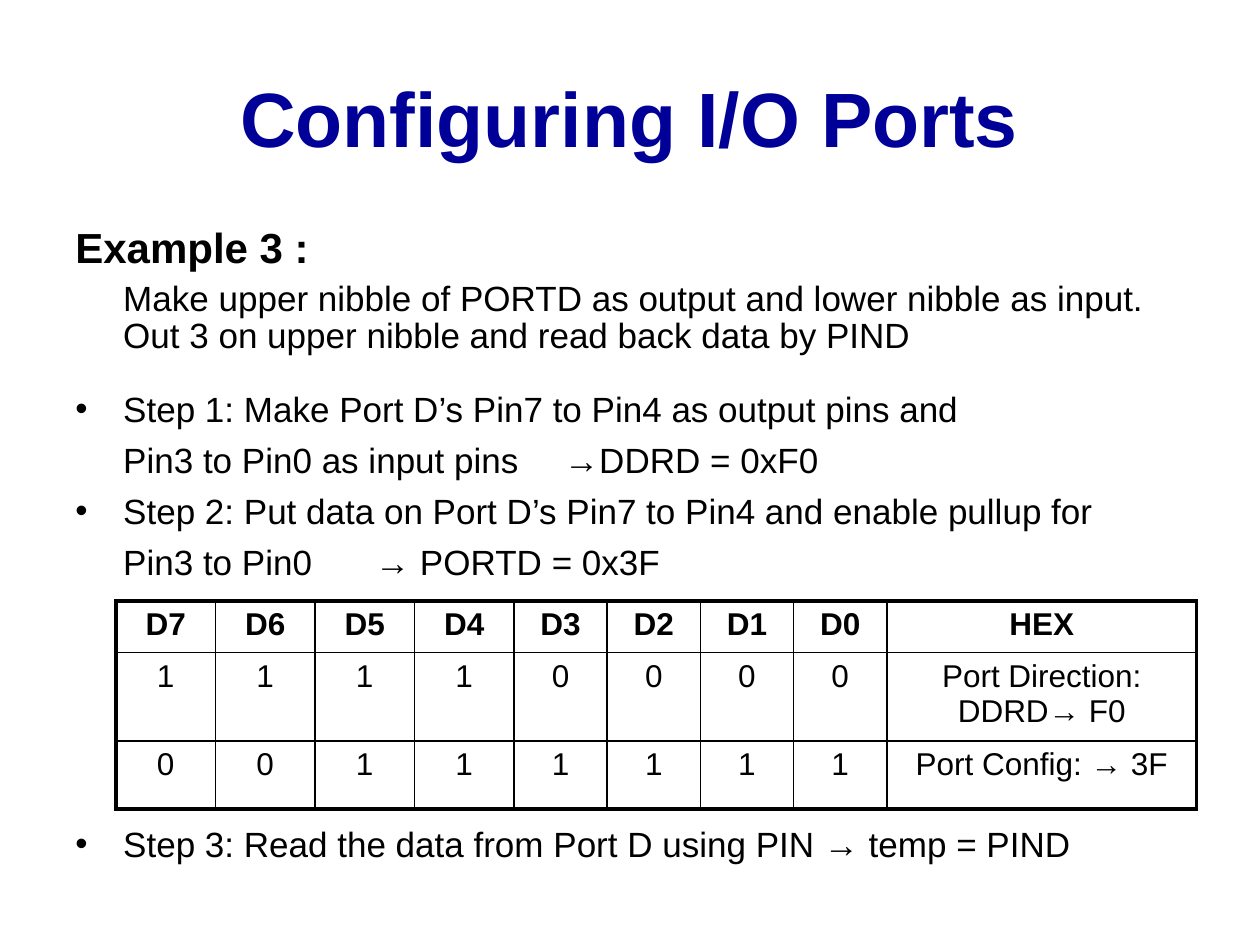
from dataclasses import dataclass

from lxml import etree
from pptx import Presentation
from pptx import util as u
from pptx.dml.color import RGBColor
from pptx.enum import text
from pptx.oxml.ns import qn

COLORS = {"title": "000099", "ink": "000000"}
FONT = "Arial"
WIDTH, HEIGHT = 10, 7.5
MARGIN = 0.05 * WIDTH
INDENT = 0.38
ARROW_TAB = 4.38
THICK, THIN = 2.25, 1


@dataclass
class Line:
    """One paragraph of the body."""

    words: str
    size: float = 20
    bold: bool = False
    bullet: bool = False
    hang: bool = True
    spacing: float = 1
    before: float = 5


LINES = [
    Line("Example 3 :", size=24, bold=True, hang=False, spacing=0.9, before=0),
    Line("Make upper nibble of PORTD as output and lower nibble as input. "
         "Out 3 on upper nibble and read back data by PIND", spacing=0.9),
    Line("Step 1: Make Port D’s Pin7 to Pin4 as output pins and", bullet=True, before=18),
    Line("Pin3 to Pin0 as input pins\t→DDRD = 0xF0"),
    Line("Step 2: Put data on Port D’s Pin7 to Pin4 and enable pullup for", bullet=True),
    Line("Pin3 to Pin0\t→ PORTD = 0x3F"),
    Line("Step 3: Read the data from Port D using PIN → temp = PIND", bullet=True, before=137.5),
]

ROWS = [
    [f"D{bit}" for bit in range(7, -1, -1)] + ["HEX"],
    [*"11110000", "Port Direction: DDRD→ F0"],
    [*"00111111", "Port Config: → 3F"],
]
COL_WIDTHS = [0.79] * 4 + [0.74] * 4 + [2.46]
ROW_HEIGHTS = [0.41, 0.66, 0.54]


def style(p, size: float, bold: bool, color: str = "ink") -> None:
    """Format every run of a paragraph."""
    for r in p.runs:
        r.font.name, r.font.size, r.font.bold = FONT, u.Pt(size), bold
        r.font.color.rgb = RGBColor.from_string(COLORS[color])


def add_box(slide, top: float, height: float, anchor):
    """Add a wrapping text box between the side margins."""
    sp = slide.shapes.add_textbox(*map(u.Inches, (MARGIN, top, WIDTH - 2 * MARGIN, height)))
    tf = sp.text_frame
    tf.word_wrap, tf.vertical_anchor = True, anchor
    return tf


def add_line(p, line: Line) -> None:
    """Write one body line with its indent, tab stop and bullet."""
    p.text = line.words
    p.line_spacing, p.space_before = line.spacing, u.Pt(line.before)
    style(p, line.size, line.bold)
    pr = p._p.get_or_add_pPr()
    pr.set("marL", str(u.Inches(INDENT if line.hang else 0)))
    pr.set("indent", str(u.Inches(-INDENT if line.bullet else 0)))
    if line.bullet:
        etree.SubElement(pr, qn("a:buFont"), typeface=FONT)
        etree.SubElement(pr, qn("a:buChar"), char="•")
    else:
        etree.SubElement(pr, qn("a:buNone"))
    if "\t" in line.words:
        tabs = etree.SubElement(pr, qn("a:tabLst"))
        etree.SubElement(tabs, qn("a:tab"), pos=str(u.Inches(ARROW_TAB)), algn="l")


def set_borders(cell, outer: dict[str, bool]) -> None:
    """Draw thick borders on outer edges and thin ones inside."""
    pr = cell._tc.get_or_add_tcPr()
    for i, (side, is_outer) in enumerate(outer.items()):
        ln = etree.Element(qn(f"a:ln{side}"), w=str(u.Pt(THICK if is_outer else THIN)))
        fill = etree.SubElement(ln, qn("a:solidFill"))
        etree.SubElement(fill, qn("a:srgbClr"), val=COLORS["ink"])
        pr.insert(i, ln)


def add_bit_table(slide) -> None:
    """Add the table of register bits."""
    last_row, last_col = len(ROWS) - 1, len(COL_WIDTHS) - 1
    box = map(u.Inches, (0.92, 4.77, sum(COL_WIDTHS), sum(ROW_HEIGHTS)))
    table = slide.shapes.add_table(len(ROWS), len(COL_WIDTHS), *box).table
    table.first_row = table.horz_banding = False
    for col, width in zip(table.columns, COL_WIDTHS):
        col.width = u.Inches(width)
    for i, (row, height) in enumerate(zip(table.rows, ROW_HEIGHTS)):
        row.height = u.Inches(height)
        for j, words in enumerate(ROWS[i]):
            cell = table.cell(i, j)
            cell.fill.background()
            cell.text_frame.text = words
            p = cell.text_frame.paragraphs[0]
            p.alignment = text.PP_ALIGN.CENTER
            style(p, 18, i == 0)
            set_borders(cell, {"L": j == 0, "R": j == last_col, "T": i == 0, "B": i == last_row})


def main() -> None:
    """Build and save the slide."""
    prs = Presentation()
    prs.slide_width, prs.slide_height = u.Inches(WIDTH), u.Inches(HEIGHT)
    slide = prs.slides.add_slide(prs.slide_layouts[6])

    tf = add_box(slide, 0.3, 1.25, text.MSO_ANCHOR.MIDDLE)
    tf.text = "Configuring I/O Ports"
    p = tf.paragraphs[0]
    p.alignment = text.PP_ALIGN.CENTER
    style(p, 44, True, "title")

    tf = add_box(slide, 1.75, 4.95, text.MSO_ANCHOR.TOP)
    for i, line in enumerate(LINES):
        add_line(tf.add_paragraph() if i else tf.paragraphs[0], line)

    add_bit_table(slide)
    prs.save("out.pptx")


main()
